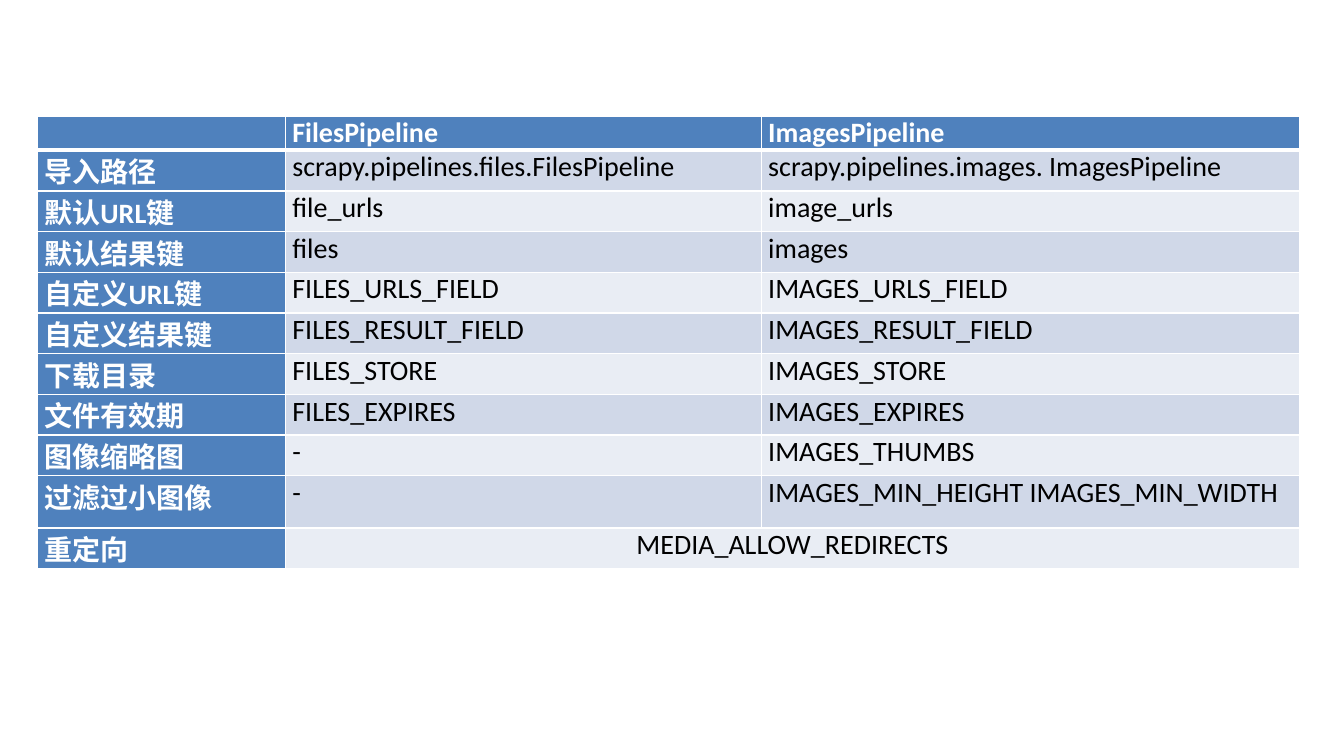
import pptx
import pptx.dml.color
import pptx.enum.text
import pptx.oxml
import pptx.oxml.ns
import pptx.util

Inches = pptx.util.Inches
Pt = pptx.util.Pt

ROWS = [
    ("", "FilesPipeline", "ImagesPipeline"),
    ("导入路径", "scrapy.pipelines.files.FilesPipeline", "scrapy.pipelines.images. ImagesPipeline"),
    ("默认URL键", "file_urls", "image_urls"),
    ("默认结果键", "files", "images"),
    ("自定义URL键", "FILES_URLS_FIELD", "IMAGES_URLS_FIELD"),
    ("自定义结果键", "FILES_RESULT_FIELD", "IMAGES_RESULT_FIELD"),
    ("下载目录", "FILES_STORE", "IMAGES_STORE"),
    ("文件有效期", "FILES_EXPIRES", "IMAGES_EXPIRES"),
    ("图像缩略图", "-", "IMAGES_THUMBS"),
    ("过滤过小图像", "-", "IMAGES_MIN_HEIGHT IMAGES_MIN_WIDTH"),
    ("重定向", "MEDIA_ALLOW_REDIRECTS", ""),
]
COLUMN_WIDTHS = (2.46, 4.72, 5.34)
ROW_HEIGHT = 0.26
TALL_ROW = 9
ROW_HEIGHTS = [ROW_HEIGHT * (2 if i == TALL_ROW else 1) for i in range(len(ROWS))]
LEFT, TOP = 0.37, 1.15
HEADER_FILL = "4F81BD"
BAND_FILLS = ("E9EDF4", "D0D8E8")
WHITE, BLACK = "FFFFFF", "000000"


def color(hex_value):
    return pptx.dml.color.RGBColor.from_string(hex_value)


def set_borders(cell, widths):
    properties = cell._tc.get_or_add_tcPr()
    for position, (side, width) in enumerate(widths.items()):
        line = pptx.oxml.parse_xml(
            f'<a:ln{side} {pptx.oxml.ns.nsdecls("a")} w="{Pt(width)}">'
            f'<a:solidFill><a:srgbClr val="{WHITE}"/></a:solidFill></a:ln{side}>'
        )
        properties.insert(position, line)


def fill_cell(cell, text, row, column):
    is_header = row == 0 or column == 0
    cell.margin_left = cell.margin_right = Inches(0.07)
    cell.margin_top = cell.margin_bottom = 0
    cell.fill.solid()
    cell.fill.fore_color.rgb = color(HEADER_FILL if is_header else BAND_FILLS[row % 2])
    set_borders(cell, {"L": 1, "R": 1, "T": 3 if row == 1 else 1, "B": 3 if row == 0 else 1})
    if text:
        run = cell.text_frame.paragraphs[0].add_run()
        run.text = text
        run.font.name = "Calibri"
        run.font.size = Pt(20)
        run.font.bold = is_header
        run.font.color.rgb = color(WHITE if is_header else BLACK)


def main():
    presentation = pptx.Presentation()
    presentation.slide_width = Inches(13.33)
    presentation.slide_height = Inches(7.5)
    slide = presentation.slides.add_slide(presentation.slide_layouts[6])
    table = slide.shapes.add_table(
        len(ROWS), len(COLUMN_WIDTHS), Inches(LEFT), Inches(TOP),
        Inches(sum(COLUMN_WIDTHS)), Inches(sum(ROW_HEIGHTS)),
    ).table
    for column, width in zip(table.columns, COLUMN_WIDTHS):
        column.width = Inches(width)
    for row, height in zip(table.rows, ROW_HEIGHTS):
        row.height = Inches(height)
    for row, texts in enumerate(ROWS):
        for column, text in enumerate(texts):
            fill_cell(table.cell(row, column), text, row, column)
    last_row = len(ROWS) - 1
    redirect_cell = table.cell(last_row, 1)
    redirect_cell.merge(table.cell(last_row, 2))
    redirect_cell.text_frame.paragraphs[0].alignment = pptx.enum.text.PP_ALIGN.CENTER
    presentation.save("out.pptx")


if __name__ == "__main__":
    main()
